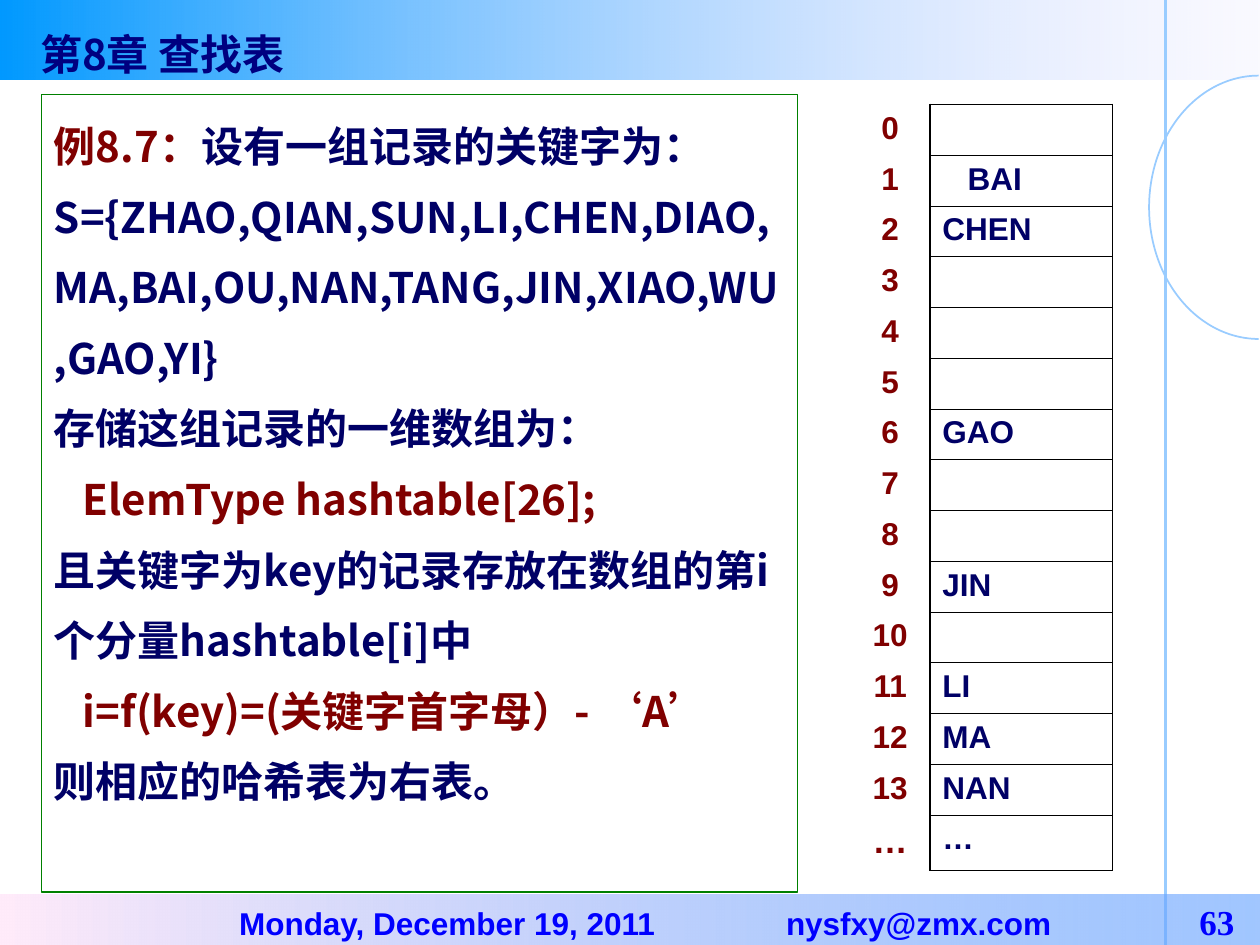
"""Builds the hash table example slide of the chapter on lookup tables."""
import lxml.etree
import pptx
import pptx.dml.color
import pptx.enum.shapes
import pptx.enum.text
import pptx.oxml
import pptx.oxml.ns
import pptx.util
from pptx.util import Inches

COLORS = {
    "navy": "000066", "title": "000080", "maroon": "800000", "footer": "0000FF",
    "frame": "008000", "ornament": "99CCFF", "border": "000000",
    "lavender": "CCCCFF", "azure": "0099FF", "pink": "FFEBFA", "sky": "5E9EFF",
}
CHINESE = "Noto Sans CJK SC"
SHAPES = pptx.enum.shapes.MSO_SHAPE
ALIGN = pptx.enum.text.PP_ALIGN
ANCHOR = pptx.enum.text.MSO_ANCHOR
NO_STYLE = "{2D5ABB26-0587-4C30-8999-92F81FD0307C}"

BODY = [
    (0, [("例8.7：", "maroon"), ("设有一组记录的关键字为：", "navy")]),
    (0, [("S={ZHAO,QIAN,SUN,LI,CHEN,DIAO,MA,BAI,OU,NAN,TANG,JIN,XIAO,WU,GAO,YI}", "navy")]),
    (0, [("存储这组记录的一维数组为：", "navy")]),
    (0.23, [("ElemType hashtable[26];", "maroon")]),
    (0, [("且关键字为key的记录存放在数组的第i个分量hashtable[i]中", "navy")]),
    (0.23, [("i=f(key)=(关键字首字母）- ‘A’", "maroon")]),
    (0, [("则相应的哈希表为右表。", "navy")]),
]
INDEXES = [str(number) for number in range(14)] + ["…"]
KEYS = {1: "BAI", 2: "CHEN", 6: "GAO", 9: "JIN", 11: "LI", 12: "MA", 13: "NAN", 14: "…"}


def rgb(name):
    return pptx.dml.color.RGBColor.from_string(COLORS[name])


def add_child(parent, tag, **attributes):
    return lxml.etree.SubElement(parent, pptx.oxml.ns.qn(tag), attributes)


def add_run(paragraph, text, color, size, font):
    run = paragraph.add_run()
    run.text = text
    run.font.name, run.font.size, run.font.bold = font, pptx.util.Pt(size), True
    run.font.color.rgb = rgb(color)
    if font == CHINESE:
        add_child(run.font._element, "a:ea", typeface=font)


def indent(paragraph, inches):
    paragraph._p.get_or_add_pPr().set("marL", str(Inches(inches)))


def add_plain_shape(slide, kind, box, line=None, width=1):
    shape = slide.shapes.add_shape(kind, *map(Inches, box))
    shape.shadow.inherit = False
    shape.fill.background()
    if line:
        shape.line.color.rgb = rgb(line)
        shape.line.width = pptx.util.Pt(width)
    else:
        shape.line.fill.background()
    return shape


def add_band(slide, box, angle, stops):
    band = add_plain_shape(slide, SHAPES.RECTANGLE, box)
    band.fill.gradient()
    band.fill.gradient_angle = angle
    for stop, (color, opacity) in zip(band.fill.gradient_stops, stops):
        stop.color.rgb = rgb(color)
        if opacity < 100:
            color_element = stop._gs.find(pptx.oxml.ns.qn("a:srgbClr"))
            add_child(color_element, "a:alpha", val=str(opacity * 1000))
    return band


def add_ornament(slide):
    arc = add_plain_shape(slide, SHAPES.ARC, (9.12, 0.6, 1.74, 2.09), "ornament")
    arc.adjustments[0], arc.adjustments[1] = 54, 162
    line = slide.shapes.add_connector(
        pptx.enum.shapes.MSO_CONNECTOR.STRAIGHT,
        Inches(9.25), 0, Inches(9.25), Inches(7.5))
    line.line.color.rgb = rgb("ornament")
    line.line.width = pptx.util.Pt(1.5)
    add_child(line._element.spPr, "a:effectLst")


def add_footer(slide):
    footer = add_band(slide, (0, 7.1, 10, 0.43), 0, [("pink", 100), ("sky", 58)])
    frame = footer.text_frame
    frame.vertical_anchor = ANCHOR.MIDDLE
    paragraph = frame.paragraphs[0]
    paragraph.alignment = ALIGN.LEFT
    tabs = add_child(paragraph._p.get_or_add_pPr(), "a:tabLst")
    for position in (1.8, 6.14, 9.42):
        add_child(tabs, "a:tab", pos=str(Inches(position)), algn="l")
    add_run(paragraph, "\tMonday, December 19, 2011\tnysfxy@zmx.com", "footer", 18, "Arial")
    add_run(paragraph, "\t63", "footer", 20, "Times New Roman")


def add_title(slide):
    title = slide.shapes.add_textbox(*map(Inches, (0.22, 0.18, 2.33, 0.34)))
    title.text_frame.word_wrap = False
    add_run(title.text_frame.paragraphs[0], "第8章 查找表", "title", 24, CHINESE)


def add_body(slide):
    body = add_plain_shape(slide, SHAPES.RECTANGLE, (0.33, 0.75, 6, 6.33), "frame", 0.75)
    frame = body.text_frame
    frame.word_wrap = True
    frame.vertical_anchor = ANCHOR.TOP
    for number, (margin, runs) in enumerate(BODY):
        paragraph = frame.add_paragraph() if number else frame.paragraphs[0]
        paragraph.alignment = ALIGN.LEFT
        paragraph.line_spacing = 1.4
        indent(paragraph, margin)
        for text, color in runs:
            add_run(paragraph, text, color, 24, CHINESE)


def set_borders(cell, **widths):
    properties = cell._tc.get_or_add_tcPr()
    for side in "LRTB":
        if side in widths:
            line = add_child(properties, f"a:ln{side}", w=str(pptx.util.Pt(widths[side])))
            fill = add_child(line, "a:solidFill")
            add_child(fill, "a:srgbClr", val=COLORS["border"])


def add_hash_table(slide):
    count = len(INDEXES)
    last = count - 1
    box = map(Inches, (6.75, 0.83, 2.08, 6.08))
    table = slide.shapes.add_table(count, 2, *box).table
    table.first_row = table.horz_banding = False
    table._tbl.tblPr.find(pptx.oxml.ns.qn("a:tableStyleId")).text = NO_STYLE
    table.columns[0].width, table.columns[1].width = Inches(0.63), Inches(1.45)
    outer, inner = 1.08, 0.45
    for number, index in enumerate(INDEXES):
        table.rows[number].height = Inches(0.44 if number == last else 5.64 / last)
        label, slot = table.cell(number, 0), table.cell(number, 1)
        set_borders(label, R=outer)
        set_borders(slot, L=outer, R=outer, T=inner if number else outer,
                    B=outer if number == last else inner)
        for cell in (label, slot):
            cell.fill.background()
        paragraph = label.text_frame.paragraphs[0]
        paragraph.alignment = ALIGN.CENTER
        add_run(paragraph, index, "maroon", 20 if number == last else 18, "Arial")
        if number in KEYS:
            paragraph = slot.text_frame.paragraphs[0]
            indent(paragraph, 0.2 if KEYS[number] == "BAI" else 0)
            add_run(paragraph, KEYS[number], "navy", 18, "Arial")


def main():
    presentation = pptx.Presentation()
    presentation.slide_width, presentation.slide_height = Inches(10), Inches(7.5)
    slide = presentation.slides.add_slide(presentation.slide_layouts[6])
    add_band(slide, (0, 0, 10, 0.63), 180, [("lavender", 10), ("azure", 100)])
    add_ornament(slide)
    add_footer(slide)
    add_title(slide)
    add_body(slide)
    add_hash_table(slide)
    presentation.save("out.pptx")


if __name__ == "__main__":
    main()
